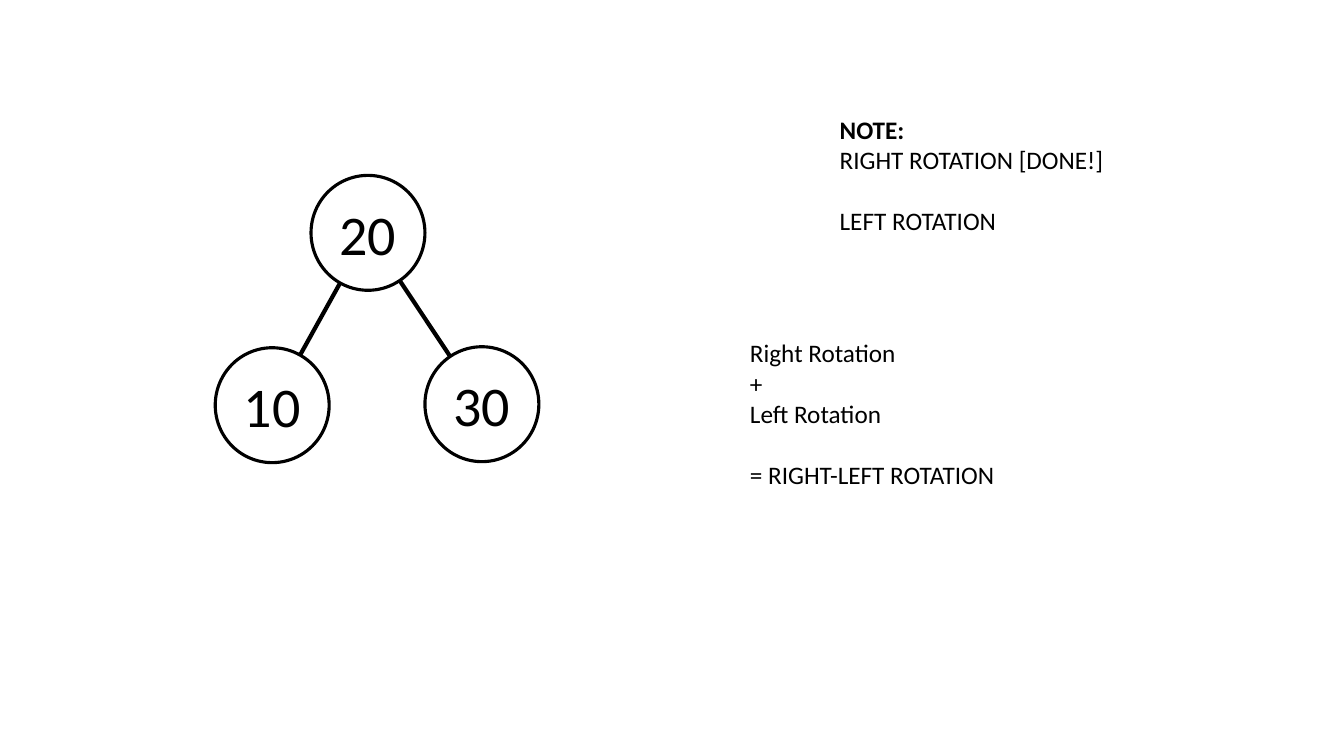
import math
import pptx
import pptx.util
import pptx.dml.color
import pptx.enum.shapes
import pptx.enum.text
import lxml.etree

WIDE, HIGH = 13.33, 7.5
THEME = {"font": "Calibri", "ink": "000000", "fill": "FFFFFF",
         "note": 18, "key": 40, "ring": 2.25, "edge": 3, "gap": 22}
NODE = (1.13, 1.14)

# key: centre of the node
TREE = {"20": (3.65, 2.31), "10": (2.7, 4.02), "30": (4.78, 4.01)}
EDGES = [("20", "10"), ("20", "30")]

# box, then lines as (text, bold, gap before)
NOTES = [
    ((7.34, 3.3, 2.73, 1.92), [
        ("Right Rotation", False, False),
        ("+", False, False),
        ("Left Rotation", False, False),
        ("= RIGHT-LEFT ROTATION", False, True)]),
    ((8.23, 1.08, 2.84, 2.22), [
        ("NOTE:", True, False),
        ("RIGHT ROTATION [DONE!]", False, False),
        ("LEFT ROTATION", False, True)]),
]


def inch(*nums):
    """Turn numbers into slide lengths."""
    return [pptx.util.Inches(n) for n in nums]


def tint(name):
    """Look up a theme colour."""
    return pptx.dml.color.RGBColor.from_string(THEME[name])


def write(para, text, size, bold=False):
    """Add one styled run to a paragraph."""
    run = para.add_run()
    run.text = text
    run.font.name = THEME["font"]
    run.font.size = pptx.util.Pt(THEME[size])
    run.font.bold = bold
    run.font.color.rgb = tint("ink")


def stroke(line, size):
    """Style an outline or edge."""
    line.color.rgb = tint("ink")
    line.width = pptx.util.Pt(THEME[size])


def add_note(slide, box, lines):
    """Add a text block, one paragraph per line."""
    frame = slide.shapes.add_textbox(*inch(*box)).text_frame
    frame.word_wrap = False
    frame.auto_size = pptx.enum.text.MSO_AUTO_SIZE.SHAPE_TO_FIT_TEXT
    for i, (text, bold, gap) in enumerate(lines):
        para = frame.add_paragraph() if i else frame.paragraphs[0]
        if gap:
            para.space_before = pptx.util.Pt(THEME["gap"])
        write(para, text, "note", bold)


def add_node(slide, key, x, y):
    """Add a tree node around its centre."""
    w, h = NODE
    node = slide.shapes.add_shape(
        pptx.enum.shapes.MSO_SHAPE.OVAL, *inch(x - w / 2, y - h / 2, w, h))
    node.shadow.inherit = False
    node.fill.solid()
    node.fill.fore_color.rgb = tint("fill")
    stroke(node.line, "ring")
    frame = node.text_frame
    frame.vertical_anchor = pptx.enum.text.MSO_ANCHOR.MIDDLE
    para = frame.paragraphs[0]
    para.alignment = pptx.enum.text.PP_ALIGN.CENTER
    write(para, key, "key")


def add_edge(slide, top, low):
    """Join the rims of two nodes along the line of their centres."""
    (ax, ay), (bx, by) = TREE[top], TREE[low]
    part = NODE[1] / 2 / math.dist(TREE[top], TREE[low])
    dx, dy = (bx - ax) * part, (by - ay) * part
    edge = slide.shapes.add_connector(
        pptx.enum.shapes.MSO_CONNECTOR.STRAIGHT,
        *inch(ax + dx, ay + dy, bx - dx, by - dy))
    stroke(edge.line, "edge")
    lxml.etree.SubElement(edge._element.spPr, pptx.oxml.ns.qn("a:effectLst"))


deck = pptx.Presentation()
deck.slide_width, deck.slide_height = inch(WIDE, HIGH)
slide = deck.slides.add_slide(deck.slide_layouts[6])
for key, spot in TREE.items():
    add_node(slide, key, *spot)
for pair in EDGES:
    add_edge(slide, *pair)
for box, lines in NOTES:
    add_note(slide, box, lines)
deck.save("out.pptx")
